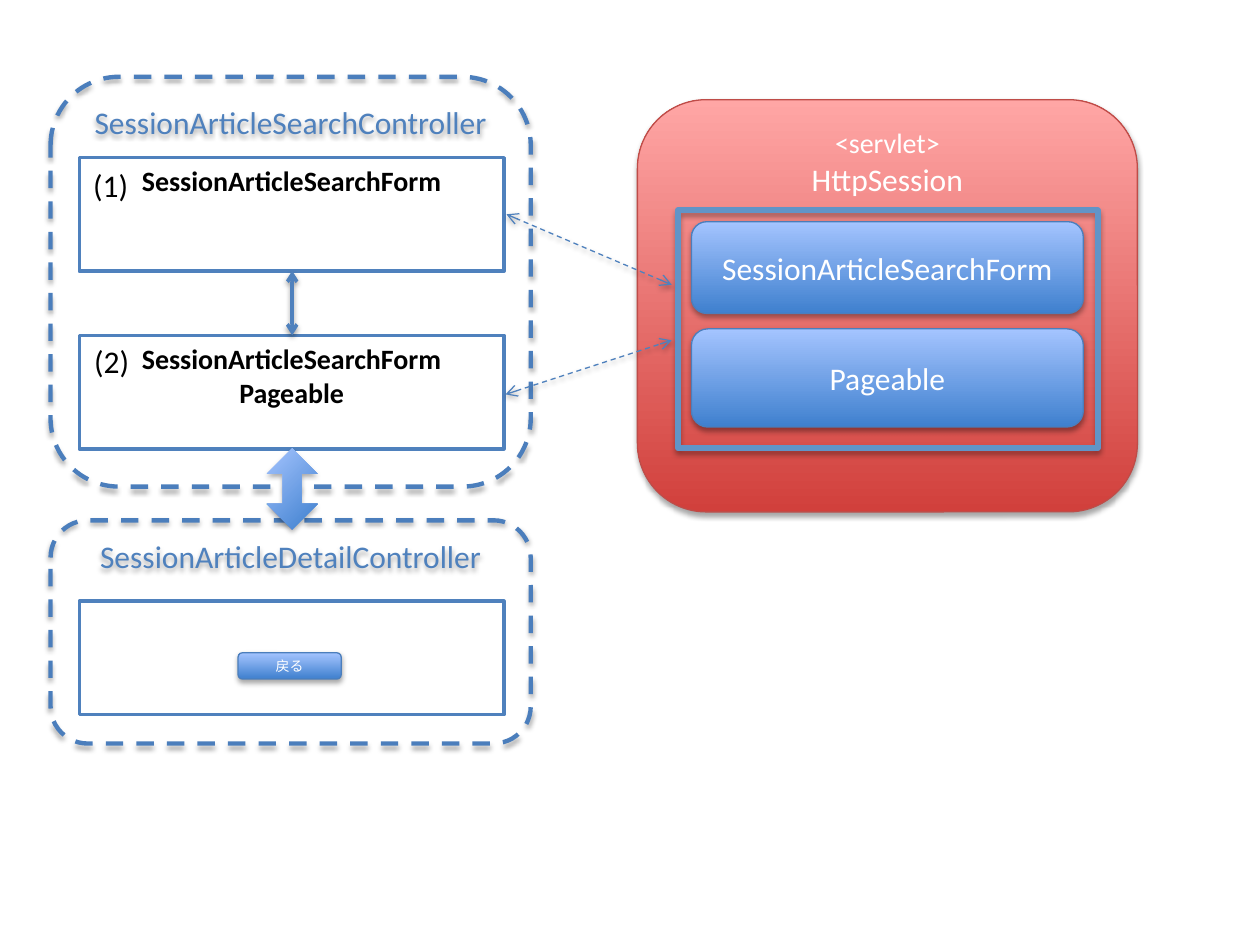
from dataclasses import dataclass
from typing import Optional

from lxml.etree import SubElement
from pptx import Presentation
from pptx.dml.color import RGBColor
from pptx.enum.dml import MSO_LINE
from pptx.enum.shapes import MSO_CONNECTOR, MSO_SHAPE as SHAPE
from pptx.enum.text import MSO_ANCHOR as ANCHOR, MSO_AUTO_SIZE, PP_ALIGN as ALIGN
from pptx.oxml.ns import qn
from pptx.util import Cm, Pt

BLUE, EDGE, WHITE, BLACK = "4F81BD", "4B7EBC", "FFFFFF", "000000"
BLUE_GRADIENT = ("3F80CE", "A4C4FF")
RED_GRADIENT = ("D1403C", "FFA6A5")


@dataclass
class Style:
    kind: SHAPE = SHAPE.ROUNDED_RECTANGLE
    fill: Optional[str] = None
    gradient: Optional[tuple] = None
    line: Optional[str] = EDGE
    width: float = 0.75
    dashed: bool = False
    shadow: bool = True
    text_color: str = WHITE
    bold: bool = False
    anchor: ANCHOR = ANCHOR.TOP


@dataclass
class Box:
    style: Style
    place: tuple  # left, top, width, height in cm
    lines: tuple = ()  # (text, size) pairs


@dataclass
class Arrow:
    start: tuple
    end: tuple
    width: float = 0.75
    dashed: bool = True


CONTROLLER = Style(width=2.5, dashed=True, text_color=BLUE)
SERVLET = Style(gradient=RED_GRADIENT, line="BF4C48")
BUTTON = Style(gradient=BLUE_GRADIENT, anchor=ANCHOR.MIDDLE)
PAGE = Style(SHAPE.RECTANGLE, fill=WHITE, line=BLUE, width=2, shadow=False,
             text_color=BLACK, bold=True)
FRAME = Style(SHAPE.RECTANGLE, line="6194C7", width=3.25)
BLOCK_ARROW = Style(SHAPE.UP_DOWN_ARROW, gradient=BLUE_GRADIENT, line=None)

FORM = "SessionArticleSearchForm"
BOXES = [
    Box(CONTROLLER, (1.02, 1.55, 9.68, 8.26), (("SessionArticleSearchController", 18),)),
    Box(SERVLET, (12.85, 2.01, 10.08, 8.31), (("<servlet>", 16), ("HttpSession", 18))),
    Box(BUTTON, (13.94, 4.47, 7.9, 1.85), ((FORM, 18),)),
    Box(PAGE, (1.6, 3.18, 8.56, 2.29), ((FORM, 16),)),
    Box(BUTTON, (13.94, 6.63, 7.9, 1.98), (("Pageable", 18),)),
    Box(CONTROLLER, (1.02, 10.49, 9.68, 4.5), (("SessionArticleDetailController", 18),)),
    Box(PAGE, (1.6, 6.76, 8.56, 2.29), ((FORM, 16), ("Pageable", 16))),
    Box(FRAME, (13.67, 4.24, 8.46, 4.8)),
    Box(PAGE, (1.6, 12.12, 8.56, 2.29)),
    Box(BUTTON, (4.8, 13.16, 2.08, 0.53), (("戻る", 8),)),
]
STEPS = [("(1)", 1.63, 3.23), ("(2)", 1.65, 6.78)]
ARROWS = [
    Arrow((10.19, 7.95), (13.54, 6.86)),
    Arrow((13.54, 5.74), (10.21, 4.32)),
    Arrow((5.89, 5.46), (5.89, 6.76), width=2, dashed=False),
]


def color(value: str) -> RGBColor:
    return RGBColor.from_string(value)


def set_format(target, values: dict) -> None:
    for name, value in values.items():
        setattr(target, name, value)


def add_shadow(effects, alpha: int, distance: float) -> None:
    shadow = SubElement(effects, qn("a:outerShdw"), blurRad=str(Pt(3.1)),
                        dist=str(Pt(distance)), dir="5400000", rotWithShape="0")
    black = SubElement(shadow, qn("a:srgbClr"), val=BLACK)
    SubElement(black, qn("a:alpha"), val=str(alpha * 1000))


def set_line(line, value: str, width: float, dashed: bool) -> None:
    line.color.rgb = color(value)
    line.width = Pt(width)
    if dashed:
        line.dash_style = MSO_LINE.DASH


def set_fill(shape, style: Style) -> None:
    if style.gradient:
        shape.fill.gradient()
        shape.fill.gradient_angle = 90
        for stop, value in zip(shape.fill.gradient_stops, style.gradient):
            stop.color.rgb = color(value)
    elif style.fill:
        shape.fill.solid()
        shape.fill.fore_color.rgb = color(style.fill)
    else:
        shape.fill.background()


def write(paragraph, text: str, size: float, value: str, bold: bool = False) -> None:
    run = paragraph.add_run()
    run.text = text
    set_format(run.font, {"name": "Calibri", "size": Pt(size), "bold": bold})
    run.font.color.rgb = color(value)


def add_box(slide, box: Box):
    style = box.style
    shape = slide.shapes.add_shape(style.kind, *map(Cm, box.place))
    set_fill(shape, style)
    if style.line:
        set_line(shape.line, style.line, style.width, style.dashed)
    else:
        shape.line.fill.background()
    shape.shadow.inherit = False
    if style.shadow:
        add_shadow(shape._element.spPr.find(qn("a:effectLst")), 35, 1.8)
    frame = shape.text_frame
    set_format(frame, {"word_wrap": True, "vertical_anchor": style.anchor})
    for index, (text, size) in enumerate(box.lines):
        paragraph = frame.add_paragraph() if index else frame.paragraphs[0]
        paragraph.alignment = ALIGN.CENTER
        write(paragraph, text, size, style.text_color, style.bold)
    return shape


def add_arrow(slide, arrow: Arrow) -> None:
    connector = slide.shapes.add_connector(
        MSO_CONNECTOR.STRAIGHT, *map(Cm, arrow.start + arrow.end))
    set_line(connector.line, BLUE, arrow.width, arrow.dashed)
    properties = connector._element.spPr
    for end in ("a:headEnd", "a:tailEnd"):
        SubElement(properties.find(qn("a:ln")), qn(end), type="arrow")
    add_shadow(SubElement(properties, qn("a:effectLst")), 38, 1.6)


def add_step(slide, text: str, left: float, top: float) -> None:
    frame = slide.shapes.add_textbox(Cm(left), Cm(top), Cm(1.22), Cm(1.02)).text_frame
    set_format(frame, {"word_wrap": False, "auto_size": MSO_AUTO_SIZE.SHAPE_TO_FIT_TEXT})
    write(frame.paragraphs[0], text, 18, BLACK)


def add_block_arrow(slide) -> None:
    shape = add_box(slide, Box(BLOCK_ARROW, (5.38, 9.04, 1.02, 1.63)))
    shape.adjustments[0], shape.adjustments[1] = 0.5, 0.37
    # Radial gradient from the lower right corner
    gradient = shape._element.spPr.find(qn("a:gradFill"))
    gradient.remove(gradient.find(qn("a:lin")))
    circle = SubElement(gradient, qn("a:path"), path="circle")
    SubElement(circle, qn("a:fillToRect"), l="100000", t="100000")


presentation = Presentation()
set_format(presentation, {"slide_width": Cm(25.4), "slide_height": Cm(19.05)})
slide = presentation.slides.add_slide(presentation.slide_layouts[6])

# Controllers, pages and session
for box in BOXES:
    add_box(slide, box)

# Step numbers
for step in STEPS:
    add_step(slide, *step)

# Arrows between the parts
for arrow in ARROWS:
    add_arrow(slide, arrow)
add_block_arrow(slide)

presentation.save("out.pptx")
